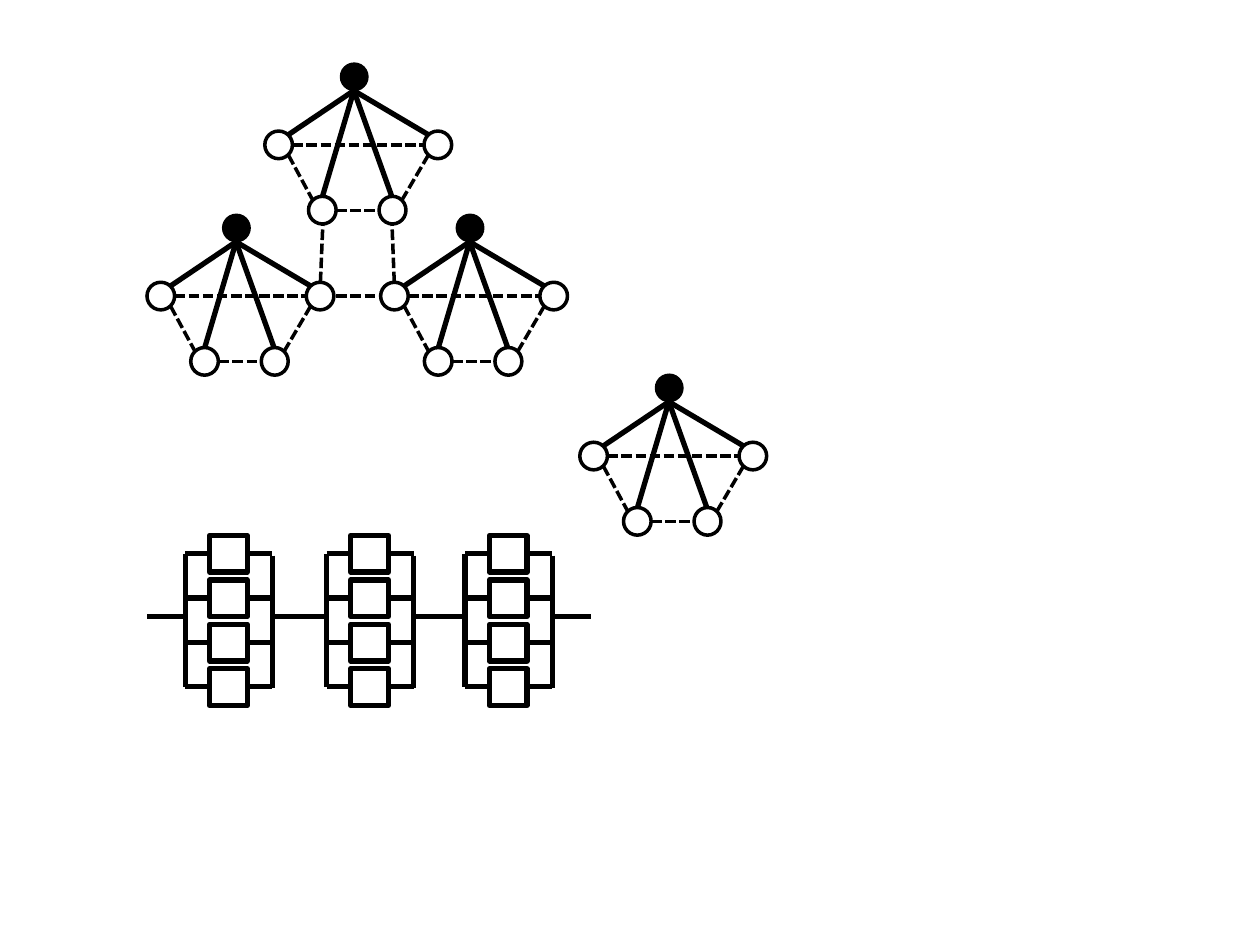
import pptx
import pptx.dml.color
import pptx.enum.dml
import pptx.enum.shapes
import pptx.oxml.ns
import pptx.util
from lxml import etree

Pt = pptx.util.Pt
COLOURS = {"ink": "000000", "paper": "FFFFFF"}
SOLID = {"width": Pt(3)}
DASHED = {"width": Pt(2), "dash_style": pptx.enum.dml.MSO_LINE.SQUARE_DOT}
RIM = {"width": Pt(2)}
THIN = {"width": Pt(0.75)}

# Star clusters: origins, then parts relative to the origin
CLUSTERS = [(84, 122.4), (217.5, 122.4), (151.3, 36), (331.3, 213.8)]
NODE = 15.8
HUB = (43.2, 0)
LEAVES = [(65.3, 76.2, 15.4), (25, 76.2, NODE), (0, 38.9, NODE), (91, 38.9, NODE)]
APEX = (50.9, NODE)
SPOKE_ENDS = [(13.5, 41), (33, 76.2), (72.6, 76.2), (93.5, 41)]
RING = [
    (78.3, 78.5, 93.5, 52.6),
    (40.8, 84.2, 65.3, 84.2),
    (15.8, 46.8, 91, 46.8),
    (13.5, 52.6, 27.5, 78.5),
]
LINKS = [
    (192.2, 169.2, 217.4, 169.2),
    (183.1, 161.3, 184.5, 128.2),
    (225.3, 161.3, 224, 128.2),
]

# Parallel banks in series
BANK_LEFTS = [84.3, 165, 244.2]
BANK_TOP = 306
BLOCK_COUNT = 4
BLOCK_PITCH = 25.4
BLOCK = (35.4, 21.6, 20.9)  # left, width, height
BUS_LEFT, BUS_RIGHT, BANK_END = 21.6, 71.4, 93.5
FEED = 46.1


def colour(name):
    return pptx.dml.color.RGBColor.from_string(COLOURS[name])


def style_line(line, values):
    line.color.rgb = colour("ink")
    for name, value in values.items():
        setattr(line, name, value)


def add_line(shapes, ends, values, origin=(0, 0)):
    x, y = origin
    x1, y1, x2, y2 = ends
    line = shapes.add_connector(
        pptx.enum.shapes.MSO_CONNECTOR.STRAIGHT,
        Pt(x + x1), Pt(y + y1), Pt(x + x2), Pt(y + y2))
    style_line(line.line, values)
    etree.SubElement(line._element.spPr, pptx.oxml.ns.qn("a:effectLst"))


def add_figure(shapes, kind, frame, values, fill=None):
    figure = shapes.add_shape(kind, *[Pt(value) for value in frame])
    figure.shadow.inherit = False
    if fill:
        figure.fill.solid()
        figure.fill.fore_color.rgb = colour(fill)
    else:
        figure.fill.background()
    style_line(figure.line, values)


def add_cluster(page, origin):
    shapes = page.shapes.add_group_shape().shapes
    x, y = origin
    oval = pptx.enum.shapes.MSO_SHAPE.OVAL
    # Hub and leaves
    add_figure(shapes, oval, (x + HUB[0], y + HUB[1], NODE, NODE), THIN, "ink")
    for left, top, width in LEAVES:
        add_figure(shapes, oval, (x + left, y + top, width, NODE), RIM)
    # Spokes and dashed ring
    for end in SPOKE_ENDS:
        add_line(shapes, APEX + end, SOLID, origin)
    for ends in RING:
        add_line(shapes, ends, DASHED, origin)


def add_bank(page, left):
    shapes = page.shapes.add_group_shape().shapes
    origin = (left, BANK_TOP)
    block_left, width, height = BLOCK
    add_line(shapes, (0, FEED, BUS_LEFT, FEED), SOLID, origin)
    # Wire and block of each branch
    for index in range(BLOCK_COUNT):
        top = index * BLOCK_PITCH
        wire = top + 10.3
        add_line(shapes, (BUS_LEFT, wire, BUS_RIGHT, wire), SOLID, origin)
        add_figure(shapes, pptx.enum.shapes.MSO_SHAPE.RECTANGLE,
                   (left + block_left, BANK_TOP + top, width, height), SOLID, "paper")
    # Vertical buses and outgoing wire
    add_line(shapes, (BUS_LEFT, 10.3, BUS_LEFT, 86.5), SOLID, origin)
    add_line(shapes, (BUS_RIGHT, 11.5, BUS_RIGHT, 87.2), SOLID, origin)
    add_line(shapes, (BUS_RIGHT, FEED, BANK_END, FEED), SOLID, origin)


def main():
    deck = pptx.Presentation()
    deck.slide_width, deck.slide_height = Pt(720), Pt(540)
    page = deck.slides.add_slide(deck.slide_layouts[6])
    for left in BANK_LEFTS:
        add_bank(page, left)
    for origin in CLUSTERS:
        add_cluster(page, origin)
    # Dashed links between clusters
    for ends in LINKS:
        add_line(page.shapes, ends, DASHED)
    deck.save("out.pptx")


main()
